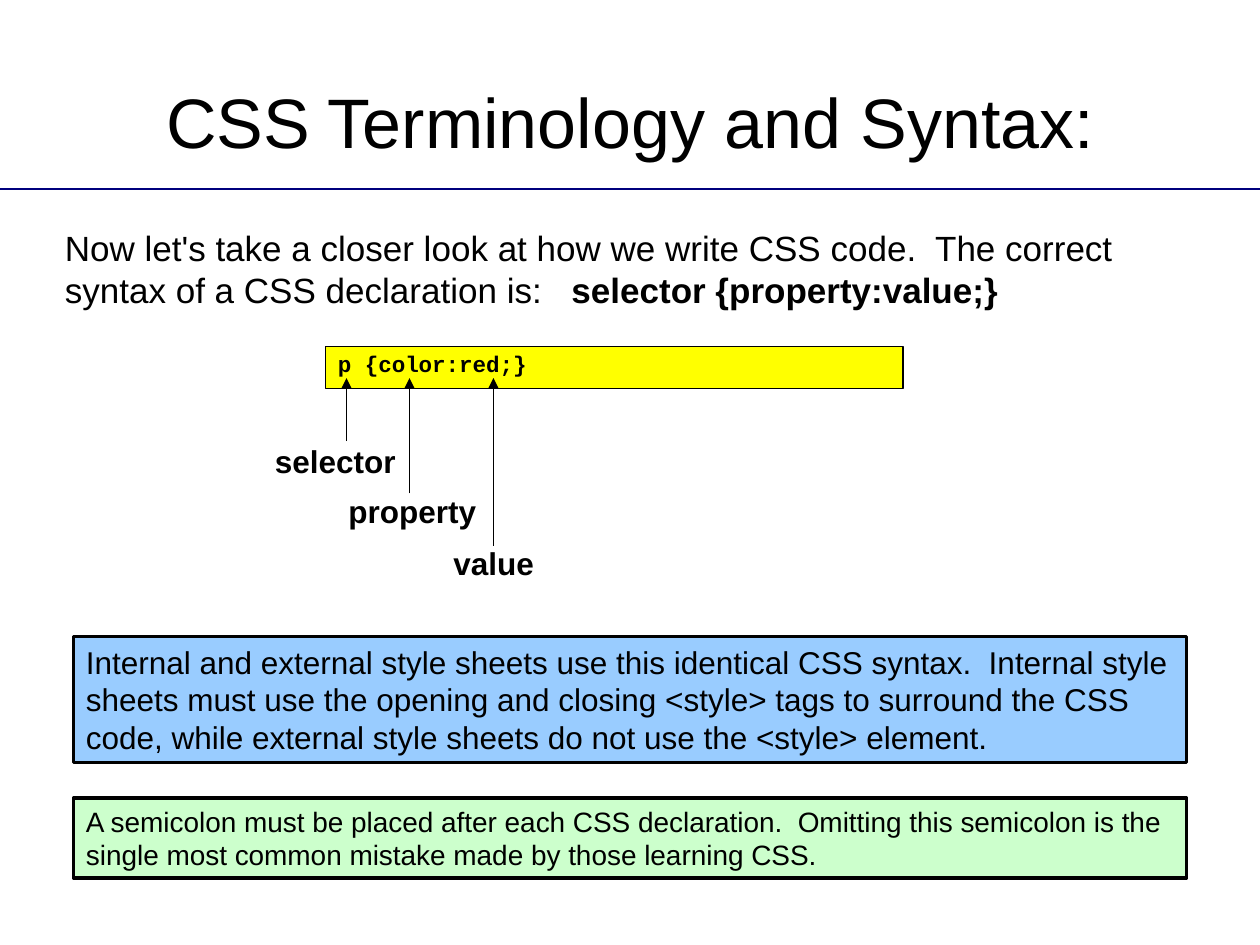
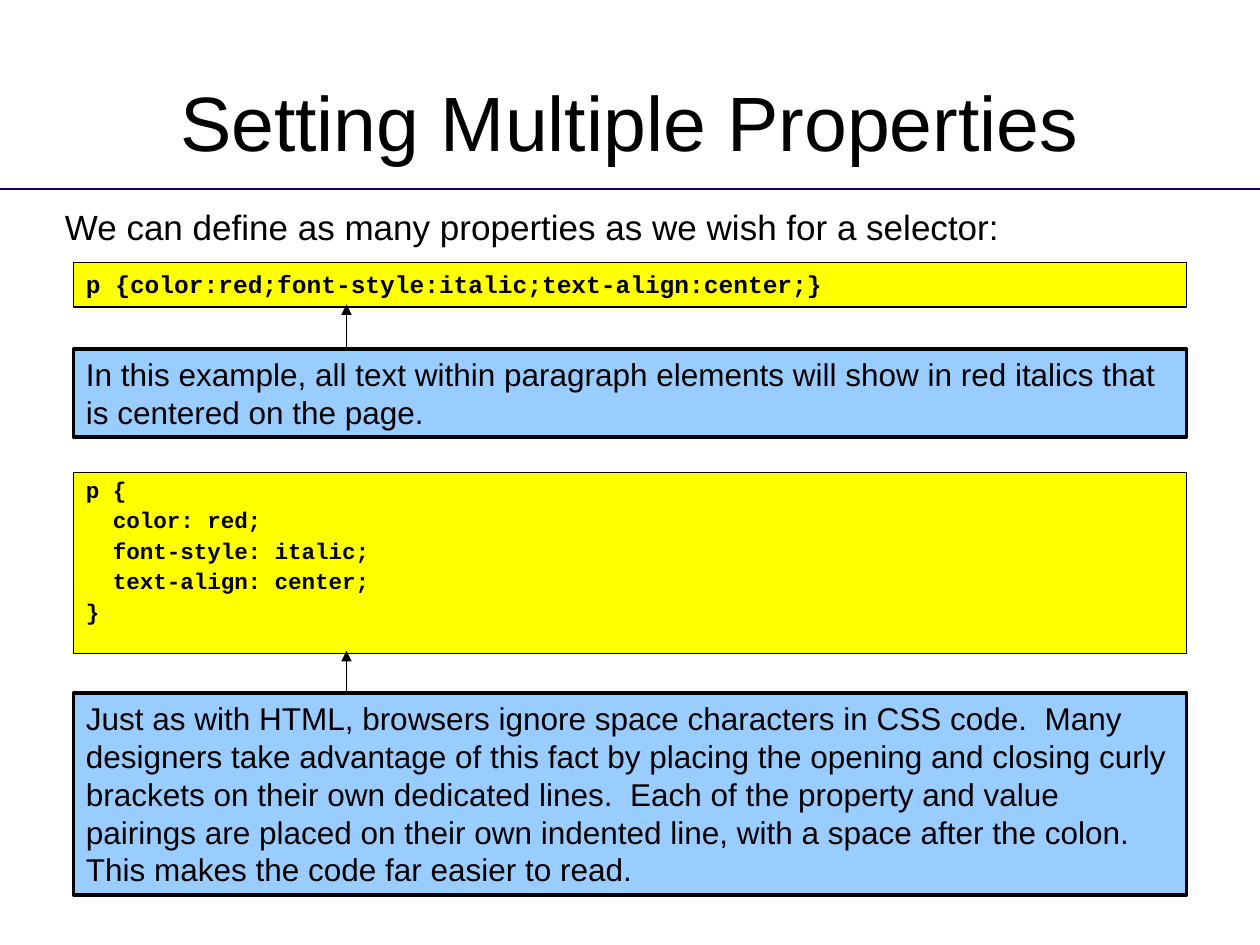
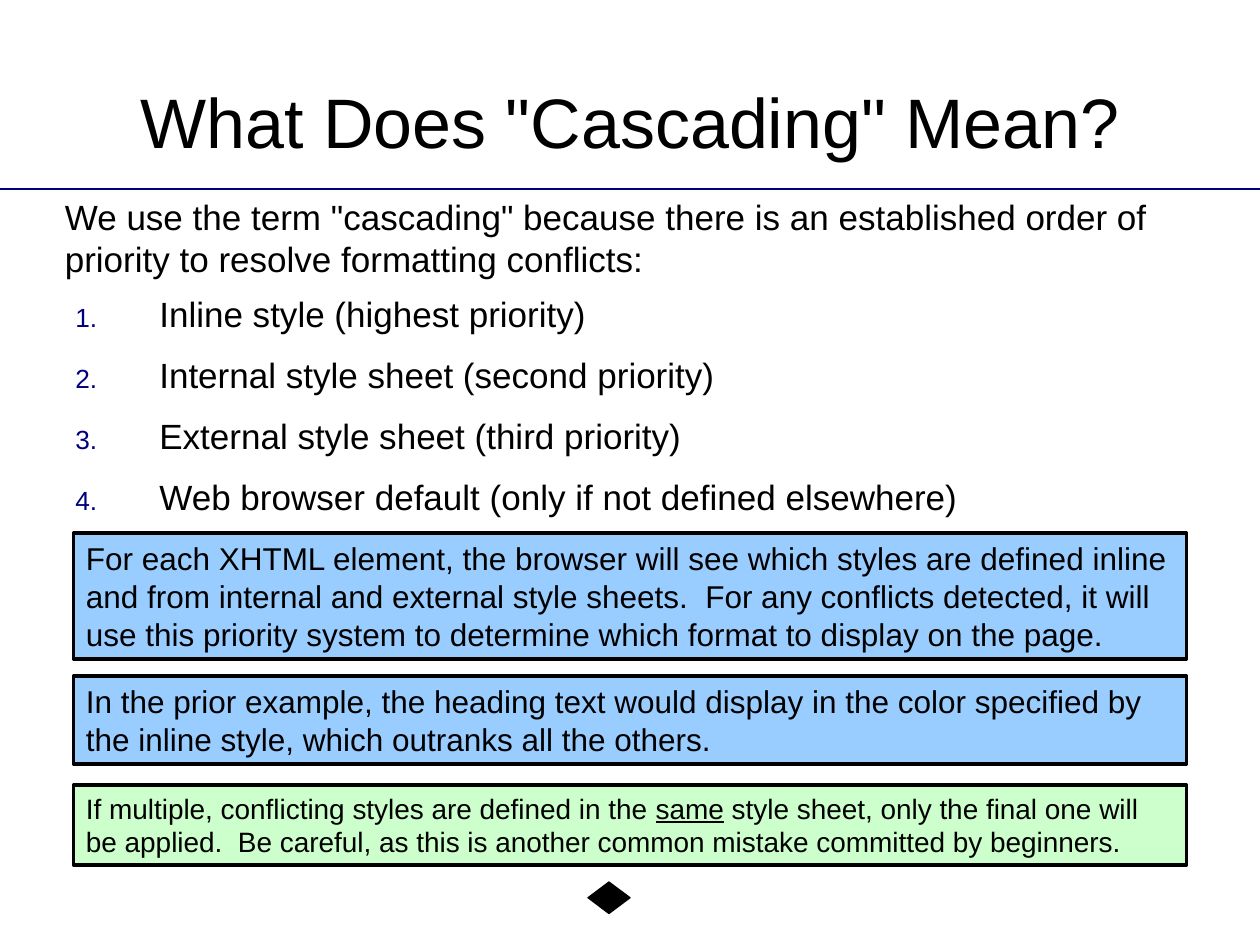
from dataclasses import dataclass, field
from typing import Optional

from lxml import etree
from pptx import Presentation
from pptx import util as u
from pptx.dml.color import RGBColor
from pptx.enum import shapes, text
from pptx.oxml.ns import qn

PX = 9525


@dataclass(frozen=True)
class Theme:
    ink: str = "000000"
    navy: str = "00007D"
    yellow: str = "FFFF00"
    blue: str = "99CCFF"
    green: str = "CCFFCC"
    sans: str = "Arial"
    mono: str = "Courier New"
    title: float = 40
    large_title: float = 44
    body: float = 20
    note: float = 18
    warning: float = 16
    code: float = 14
    small_code: float = 12.9
    thin: float = 0.75
    rule: float = 1.25
    frame: float = 2


T = Theme()


@dataclass(frozen=True)
class Style:
    size: float
    font: str = T.sans
    bold: bool = False
    fill: Optional[str] = None
    border: float = 0
    grow: bool = False
    centred: bool = False
    numbered: bool = False
    spacing: Optional[float | u.Pt] = None
    before: float = 0
    tab: int = 0


TITLE = Style(T.title, centred=True)
LARGE_TITLE = Style(T.large_title, centred=True)
INTRO = Style(T.body)
SYNTAX_INTRO = Style(T.body, tab=386)
LABEL = Style(T.note, bold=True, grow=True)
NOTE = Style(T.note, fill=T.blue, border=T.frame, grow=True)
WARNING = Style(T.warning, fill=T.green, border=T.frame, grow=True)
CODE = Style(T.code, T.mono, True, T.yellow, T.thin)
SMALL_CODE = Style(T.small_code, T.mono, True, T.yellow, T.thin, spacing=0.9, before=3.5)
NUMBERED = Style(T.body, numbered=True, spacing=u.Pt(30), before=5)


@dataclass(frozen=True)
class Span:
    text: str
    bold: bool = False
    underline: bool = False


@dataclass(frozen=True)
class Box:
    style: Style
    x: int
    y: int
    w: int
    h: int
    lines: tuple[str | tuple[Span, ...], ...]


@dataclass(frozen=True)
class Arrow:
    x: int
    start: int
    end: int


@dataclass(frozen=True)
class Page:
    title: str
    boxes: list[Box]
    title_style: Style = TITLE
    arrows: list[Arrow] = field(default_factory=list)
    diamond: Optional[tuple[int, int, int, int]] = None


def intro(y: int, h: int, *spans: Span, style: Style = INTRO) -> Box:
    return Box(style, 40, y, 872, h, (spans,))


def panel(style: Style, y: int, h: int, *lines: str | tuple[Span, ...]) -> Box:
    return Box(style, 56, y, 848, h, lines)


def px(*values: int) -> list[u.Emu]:
    return [u.Emu(v * PX) for v in values]


def rgb(value: str) -> RGBColor:
    return RGBColor.from_string(value)


def add_child(parent, tag: str, **attributes: str):
    return etree.SubElement(parent, qn(tag), **attributes)


def add_number(p) -> None:
    pPr = p._p.get_or_add_pPr()
    pPr.set("marL", str(64 * PX))
    pPr.set("indent", str(-64 * PX))
    add_child(add_child(pPr, "a:buClr"), "a:srgbClr", val=T.navy)
    add_child(pPr, "a:buSzPct", val="75000")
    add_child(pPr, "a:buFont", typeface=T.sans)
    add_child(pPr, "a:buAutoNum", type="arabicPeriod")


def add_tab(p, position: int) -> None:
    tabs = add_child(p._p.get_or_add_pPr(), "a:tabLst")
    add_child(tabs, "a:tab", pos=str(position * PX), algn="l")


def write_line(p, spans: tuple[Span, ...], style: Style, first: bool) -> None:
    if style.numbered:
        add_number(p)
    if style.tab:
        add_tab(p, style.tab)
    p.alignment = text.PP_ALIGN.CENTER if style.centred else text.PP_ALIGN.LEFT
    if style.spacing:
        p.line_spacing = style.spacing
    if style.before and not first:
        p.space_before = u.Pt(style.before)
    p.text = spans[0].text
    for span in spans[1:]:
        p.add_run().text = span.text
    for r, span in zip(p.runs, spans):
        r.font.name = style.font
        r.font.size = u.Pt(style.size)
        r.font.bold = style.bold or span.bold
        r.font.underline = span.underline
        r.font.color.rgb = rgb(T.ink)


def fill_shape(sp, fill: str, border: float) -> None:
    sp.shadow.inherit = False
    sp.fill.solid()
    sp.fill.fore_color.rgb = rgb(fill)
    sp.line.color.rgb = rgb(T.ink)
    sp.line.width = u.Pt(border)


def draw_box(s, box: Box) -> None:
    style = box.style
    frame = px(box.x, box.y, box.w, box.h)
    if style.fill:
        sp = s.shapes.add_shape(shapes.MSO_SHAPE.RECTANGLE, *frame)
        fill_shape(sp, style.fill, style.border)
    else:
        sp = s.shapes.add_textbox(*frame)
    tf = sp.text_frame
    tf.word_wrap = True
    tf.auto_size = text.MSO_AUTO_SIZE.SHAPE_TO_FIT_TEXT if style.grow else text.MSO_AUTO_SIZE.NONE
    tf.vertical_anchor = text.MSO_ANCHOR.MIDDLE if style.centred else text.MSO_ANCHOR.TOP
    for i, line in enumerate(box.lines):
        p = tf.add_paragraph() if i else tf.paragraphs[0]
        spans = (Span(line),) if isinstance(line, str) else line
        write_line(p, spans, style, i == 0)


def draw_line(s, x1: int, y1: int, x2: int, y2: int, color: str, width: float):
    cx = s.shapes.add_connector(shapes.MSO_CONNECTOR.STRAIGHT, *px(x1, y1, x2, y2))
    cx.line.color.rgb = rgb(color)
    cx.line.width = u.Pt(width)
    add_child(cx._element.spPr, "a:effectLst")
    return cx


def draw_arrow(s, arrow: Arrow) -> None:
    cx = draw_line(s, arrow.x, arrow.start, arrow.x, arrow.end, T.ink, T.thin)
    add_child(cx.line._get_or_add_ln(), "a:tailEnd", type="triangle")


def draw_page(prs, page: Page) -> None:
    s = prs.slides.add_slide(prs.slide_layouts[6])
    draw_box(s, Box(page.title_style, 48, 40, 864, 104, (page.title,)))
    draw_line(s, 0, 144, 960, 144, T.navy, T.rule)
    for box in page.boxes:
        draw_box(s, box)
    for arrow in page.arrows:
        draw_arrow(s, arrow)
    if page.diamond:
        sp = s.shapes.add_shape(shapes.MSO_SHAPE.DIAMOND, *px(*page.diamond))
        fill_shape(sp, T.ink, T.thin)


PAGES = [
    Page(
        "CSS Terminology and Syntax:",
        [
            Box(SMALL_CODE, 248, 264, 440, 32, ("p {color:red;}",)),
            intro(
                168, 72,
                Span("Now let's take a closer look at how we write CSS code.  The correct "
                     "syntax of a CSS declaration is:\t"),
                Span("selector {property:value;}", bold=True),
                style=SYNTAX_INTRO,
            ),
            panel(NOTE, 485, 96,
                  "Internal and external style sheets use this identical CSS syntax.  Internal "
                  "style sheets must use the opening and closing <style> tags to surround the "
                  "CSS code, while external style sheets do not use the <style> element."),
            panel(WARNING, 608, 61,
                  "A semicolon must be placed after each CSS declaration.  Omitting this "
                  "semicolon is the single most common mistake made by those learning CSS."),
            Box(LABEL, 200, 332, 112, 38, ("selector",)),
            Box(LABEL, 256, 370, 128, 38, ("property",)),
            Box(LABEL, 336, 410, 88, 38, ("value",)),
        ],
        arrows=[Arrow(264, 336, 288), Arrow(312, 376, 288), Arrow(376, 416, 288)],
    ),
    Page(
        "Setting Multiple Properties",
        [
            intro(152, 48, Span("We can define as many properties as we wish for a selector:")),
            panel(NOTE, 266, 67,
                  "In this example, all text within paragraph elements will show in red "
                  "italics that is centered on the page."),
            panel(CODE, 200, 34, "p {color:red;font-style:italic;text-align:center;}"),
            panel(SMALL_CODE, 360, 138,
                  "p {",
                  "  color: red;",
                  "  font-style: italic;",
                  "  text-align: center;",
                  "}"),
            panel(NOTE, 528, 154,
                  "Just as with HTML, browsers ignore space characters in CSS code.  Many "
                  "designers take advantage of this fact by placing the opening and closing "
                  "curly brackets on their own dedicated lines.  Each of the property and value "
                  "pairings are placed on their own indented line, with a space after the "
                  "colon.  This makes the code far easier to read."),
        ],
        title_style=LARGE_TITLE,
        arrows=[Arrow(264, 264, 232), Arrow(264, 528, 496)],
    ),
    Page(
        'What Does "Cascading" Mean?',
        [
            Box(NUMBERED, 48, 210, 856, 200, (
                "Inline style (highest priority)",
                "Internal style sheet (second priority)",
                "External style sheet (third priority)",
                "Web browser default (only if not defined elsewhere)",
            )),
            intro(144, 72,
                  Span('We use the term "cascading" because there is an established order of '
                       "priority to resolve formatting conflicts:")),
            panel(NOTE, 406, 96,
                  "For each XHTML element, the browser will see which styles are defined inline "
                  "and from internal and external style sheets.  For any conflicts detected, it "
                  "will use this priority system to determine which format to display on the "
                  "page."),
            panel(NOTE, 515, 67,
                  "In the prior example, the heading text would display in the color specified "
                  "by the inline style, which outranks all the others."),
            panel(WARNING, 598, 61, (
                Span("If multiple, conflicting styles are defined in the "),
                Span("same", underline=True),
                Span(" style sheet, only the final one will be applied.  Be careful, as this is "
                     "another common mistake committed by beginners."),
            )),
        ],
        diamond=(448, 672, 32, 24),
    ),
]


def main() -> None:
    prs = Presentation()
    prs.slide_width, prs.slide_height = px(960, 720)
    for page in PAGES:
        draw_page(prs, page)
    prs.save("out.pptx")


if __name__ == "__main__":
    main()
